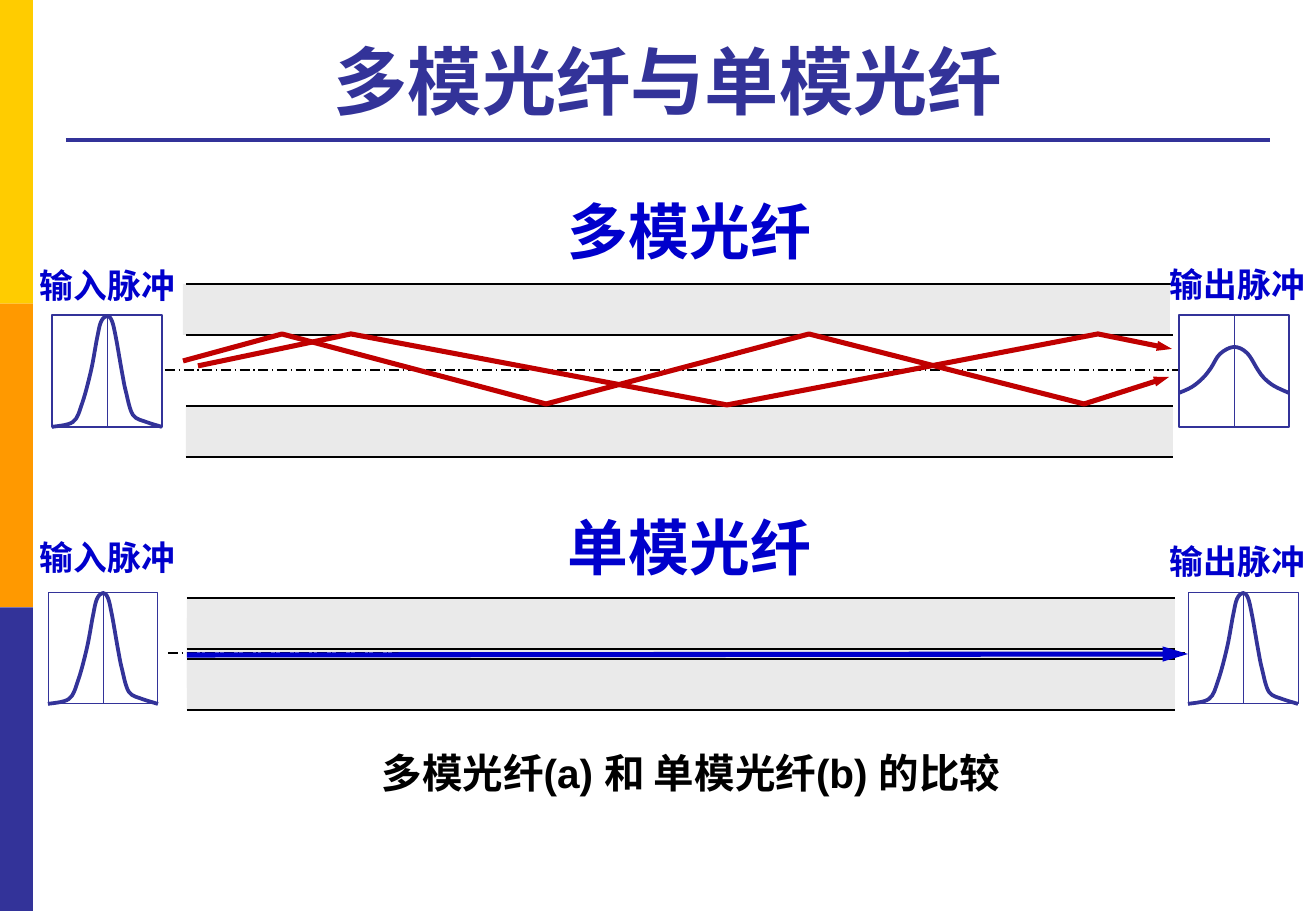
from lxml import etree
from pptx import Presentation
from pptx.dml.color import RGBColor
from pptx.enum.dml import MSO_LINE
from pptx.enum.shapes import MSO_CONNECTOR, MSO_SHAPE
from pptx.enum.text import MSO_ANCHOR, PP_ALIGN
from pptx.oxml.ns import qn
from pptx.util import Pt

RECT = MSO_SHAPE.RECTANGLE
STRAIGHT = MSO_CONNECTOR.STRAIGHT
DASH_DOT = MSO_LINE.LONG_DASH_DOT
LEFT, CENTER = PP_ALIGN.LEFT, PP_ALIGN.CENTER
TOP, BOTTOM = MSO_ANCHOR.TOP, MSO_ANCHOR.BOTTOM

SCALE = 914400 / 121.5
NAVY, BLUE, RED = "333399", "0000CC", "C00000"
BLACK, WHITE, GREY = "000000", "FFFFFF", "EAEAEA"

TITLE = "多模光纤与单模光纤"
CAPTION = "多模光纤(a) 和 单模光纤(b) 的比较"
SIDEBAR = ["FFCC00", "FF9900", NAVY]

NARROW_PULSE = [(0, 112), (21, 107), (30, 89), (39, 56), (45, 24), (49, 7), (55, 1), (60, 6),
                (64, 23), (70, 57), (74, 77), (81, 100), (94, 107), (100, 109), (110, 112)]
WIDE_PULSE = [(0, 78), (13, 72), (24, 63), (32, 53), (41, 39), (55, 32),
              (68, 38), (79, 55), (85, 63), (95, 71), (110, 78)]
PULSE_W, PULSE_H = 110, 112
CLADDING_H = 51

SINGLE_MODE = {
    "name": "单模光纤", "name_top": 504,
    "claddings": [(187, 598), (187, 659)], "length": 988,
    "core": (187, 618, 988, 70), "axis": (168, 1191, 653),
    "pulses": [("输入脉冲", 28, 531, 48, 592, NARROW_PULSE),
               ("输出脉冲", 1158, 535, 1188, 592, NARROW_PULSE)],
    "frame_width": 0.5,
}
MULTI_MODE = {
    "name": "多模光纤", "name_top": 188,
    "claddings": [(183, 284), (186, 406)], "length": 987,
    "core": None, "axis": (165, 1188, 370),
    "pulses": [("输入脉冲", 28, 259, 52, 315, NARROW_PULSE),
               ("输出脉冲", 1158, 258, 1179, 315, WIDE_PULSE)],
    "frame_width": 0.75,
}
SHALLOW_RAY = [(198, 366), (351, 334), (727, 405), (1098, 334), (1172, 349)]
STEEP_RAY = [(183, 361), (282, 334), (546, 404), (809, 334), (1084, 404), (1169, 377)]
SINGLE_RAY = (187, 655, 1188, 654)
NARROW_HEAD = {"type": "triangle", "w": "sm", "len": "med"}
LONG_HEAD = {"type": "triangle", "w": "med", "len": "lg"}


def emu(pixels):
    return round(pixels * SCALE)


def rgb(color):
    return RGBColor.from_string(color)


def style_line(shape, color, width, head=None):
    shape.line.color.rgb = rgb(color)
    shape.line.width = Pt(width)
    if head:
        etree.SubElement(shape.line._get_or_add_ln(), qn("a:tailEnd"), head)


def add_box(x, y, w, h, fill, outline=None, width=0.5):
    box = slide.shapes.add_shape(RECT, *map(emu, (x, y, w, h)))
    box.shadow.inherit = False
    box.fill.solid()
    box.fill.fore_color.rgb = rgb(fill)
    if outline:
        style_line(box, outline, width)
    else:
        box.line.fill.background()


def add_line(x1, y1, x2, y2, color, width, dash=None, head=None):
    line = slide.shapes.add_connector(STRAIGHT, *map(emu, (x1, y1, x2, y2)))
    etree.SubElement(line._element.spPr, qn("a:effectLst"))
    style_line(line, color, width, head)
    if dash:
        line.line.dash_style = dash


def add_path(points, color, width, head=None):
    corners = [(emu(x), emu(y)) for x, y in points]
    builder = slide.shapes.build_freeform(*corners[0])
    builder.add_line_segments(corners[1:], close=False)
    path = builder.convert_to_shape()
    path.shadow.inherit = False
    path.fill.background()
    style_line(path, color, width, head)
    return path


def smooth(path):
    knots = [(int(pt.get("x")), int(pt.get("y"))) for pt in path._element.iter(qn("a:pt"))]
    padded = [knots[0], *knots, knots[-1]]
    segments = list(path._element.iter(qn("a:lnTo")))
    for segment, a, b, c, d in zip(segments, padded, padded[1:], padded[2:], padded[3:]):
        leaving = [q + (r - p) / 6 for p, q, r in zip(a, b, c)]
        arriving = [q - (r - p) / 6 for p, q, r in zip(b, c, d)]
        curve = etree.Element(qn("a:cubicBezTo"))
        for x, y in (leaving, arriving, c):
            etree.SubElement(curve, qn("a:pt"), x=str(round(x)), y=str(round(y)))
        segment.getparent().replace(segment, curve)


def write(text, frame, size, color, align=LEFT, anchor=TOP, wrap=True):
    frame.word_wrap = wrap
    frame.vertical_anchor = anchor
    paragraph = frame.paragraphs[0]
    paragraph.alignment = align
    run = paragraph.add_run()
    run.text = text
    run.font.name = "Arial"
    run.font.size = Pt(size)
    run.font.bold = True
    run.font.color.rgb = rgb(color)


def add_text(text, x, y, w, h, **style):
    box = slide.shapes.add_textbox(*map(emu, (x, y, w, h)))
    write(text, box.text_frame, **style)


def add_fiber(fiber):
    if fiber["core"]:
        add_box(*fiber["core"], GREY)
    for x, y in fiber["claddings"]:
        add_box(x, y, fiber["length"], CLADDING_H, GREY)
    start = fiber["claddings"][-1][0]
    for _, top in fiber["claddings"]:
        for y in (top, top + CLADDING_H):
            add_line(start, y, start + fiber["length"], y, BLACK, 0.75)
    left, right, axis_y = fiber["axis"]
    add_line(left, axis_y, right, axis_y, BLACK, 0.75, dash=DASH_DOT)
    for label, label_x, label_y, x, y, pulse in fiber["pulses"]:
        add_box(x, y, PULSE_W, PULSE_H, WHITE, NAVY, fiber["frame_width"])
        middle = x + PULSE_W / 2
        add_line(middle, y, middle, y + PULSE_H, NAVY, 0.5)
        smooth(add_path([(x + dx, y + dy) for dx, dy in pulse], NAVY, 2.25))
        add_text(label, label_x, label_y, 160, 53, size=20, color=BLUE, wrap=False)
    add_text(fiber["name"], 556, fiber["name_top"], 270, 86, size=36, color=BLUE, wrap=False)


prs = Presentation()
prs.slide_width, prs.slide_height = emu(1316), emu(911)
slide = prs.slides.add_slide(prs.slide_layouts[5])

stripe_h = 911 / len(SIDEBAR)
for index, color in enumerate(SIDEBAR):
    add_box(0, index * stripe_h, 33, stripe_h, color)
add_line(66, 140, 1270, 140, NAVY, 2.25)

title = slide.shapes.title
title.left, title.top, title.width, title.height = map(emu, (66, 24, 1204, 106))
write(TITLE, title.text_frame, 44, NAVY, align=CENTER, anchor=BOTTOM)

add_fiber(SINGLE_MODE)
add_line(*SINGLE_RAY, BLUE, 3, head=LONG_HEAD)
add_fiber(MULTI_MODE)
for ray in (SHALLOW_RAY, STEEP_RAY):
    add_path(ray, RED, 3, head=NARROW_HEAD)
add_text(CAPTION, 275, 742, 832, 61, size=24, color=BLACK, align=CENTER)

prs.save("out.pptx")
